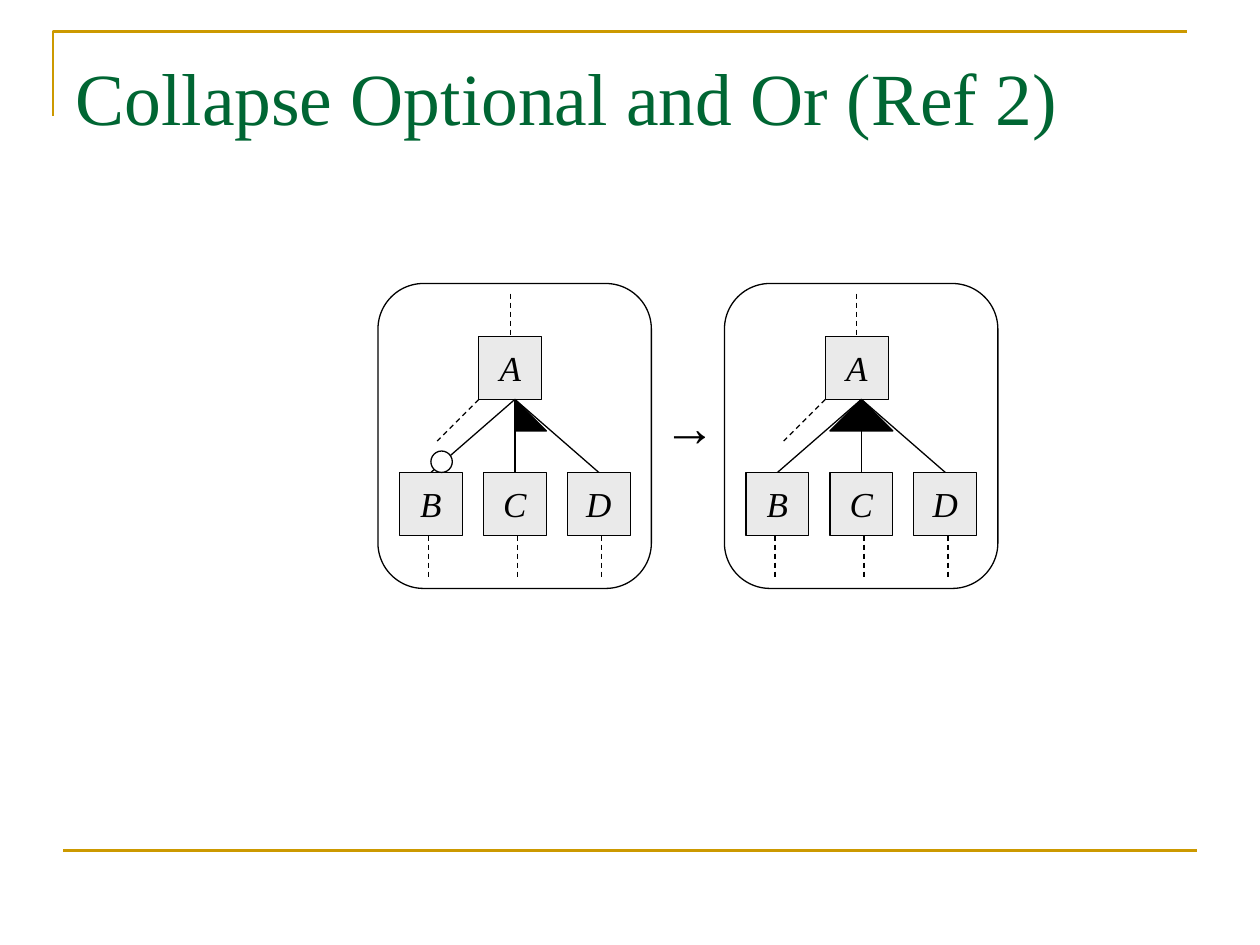
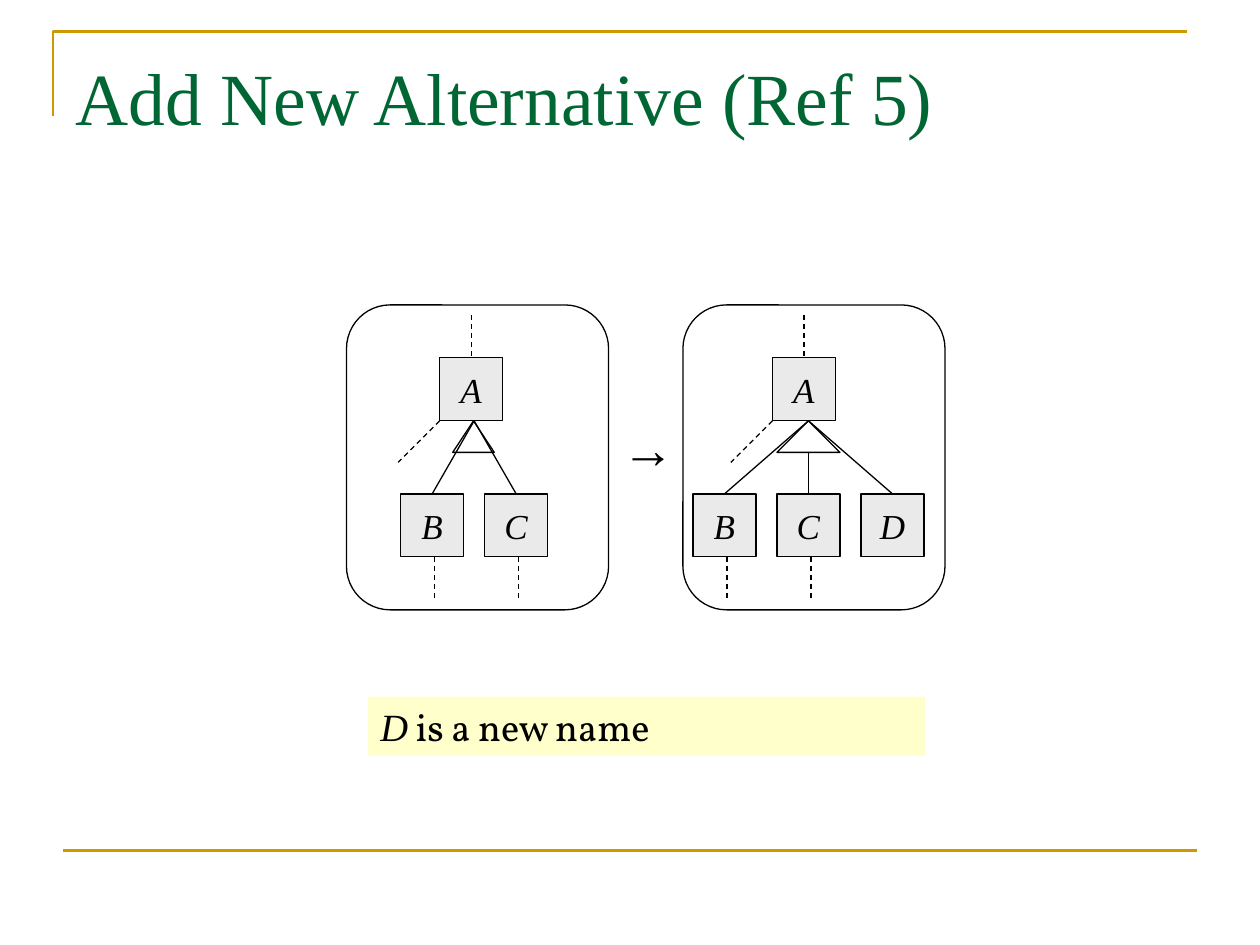
from pptx import Presentation
from pptx.dml.color import RGBColor
from pptx.enum.dml import MSO_LINE as Dash
from pptx.enum.shapes import MSO_CONNECTOR as Link, MSO_SHAPE as Kind
from pptx.enum.text import MSO_ANCHOR as Anchor, MSO_AUTO_SIZE as Fit, PP_ALIGN as Align
from pptx.oxml.ns import qn
from pptx.util import Inches, Pt
from lxml import etree

GOLD, GREEN, BLACK = "CC9900", "006633", "000000"
WHITE, GRAY, CREAM = "FFFFFF", "EAEAEA", "FFFFCC"
SERIF = "Times New Roman"
SIDE = 0.5
STEP = 2 / 3


def paint(part, color):
    part.solid()
    part.fore_color.rgb = RGBColor.from_string(color)


def edge(line, color=BLACK, width=0.75):
    paint(line.fill, color)
    line.width = Pt(width)


def write(para, text, size, color=BLACK, face=SERIF, slant=False):
    run = para.add_run()
    run.text = text
    font = run.font
    font.size, font.name, font.italic = Pt(size), face, slant
    font.color.rgb = RGBColor.from_string(color)


def add_line(slide, start, end, color=BLACK, width=0.75, dash=False):
    ends = [Inches(n) for n in (*start, *end)]
    line = slide.shapes.add_connector(Link.STRAIGHT, *ends)
    edge(line.line, color, width)
    if dash:
        line.line.dash_style = Dash.DASH
    etree.SubElement(line.element.spPr, qn("a:effectLst"))
    return line


def add_form(slide, kind, box, fill=None, lined=True):
    form = slide.shapes.add_shape(kind, *[Inches(n) for n in box])
    form.shadow.inherit = False
    if fill:
        paint(form.fill, fill)
    else:
        form.fill.background()
    if lined:
        edge(form.line)
    else:
        form.line.fill.background()
    return form


def add_node(slide, name, x, y):
    node = add_form(slide, Kind.RECTANGLE, (x, y, SIDE, SIDE), GRAY)
    frame = node.text_frame
    frame.word_wrap = False
    frame.vertical_anchor = Anchor.MIDDLE
    para = frame.paragraphs[0]
    para.alignment = Align.CENTER
    write(para, name, 20, slant=True)
    return node


def add_tree(slide, box, root, first, names, mark, tails, ring=False):
    left, top, width, height = box
    add_form(slide, Kind.ROUNDED_RECTANGLE, box)
    head = add_node(slide, "A", left + root, top + 0.42)
    mid = left + root + SIDE / 2
    stem = add_line(slide, (mid, top + 0.08), (mid, top + 0.42), dash=True)
    stem.end_connect(head, 0)
    foot = top + 0.92
    add_line(slide, (left + root, foot), (left + root - 0.33, foot + 0.33), dash=True)

    row = top + 1.5
    spots = [left + first + i * STEP for i in range(len(names))]
    nodes = [add_node(slide, name, x, row) for name, x in zip(names, spots)]
    for x, tail in zip(spots, tails):
        add_line(slide, (x + tail, row + SIDE), (x + tail, row + SIDE + 0.33), dash=True)

    apex = (spots[0] + spots[-1] + SIDE) / 2

    def join(node):
        add_line(slide, (apex, foot), (apex, row)).end_connect(node, 0)

    for node in nodes[1:-1]:
        join(node)
    kind, shift, span, fill = mark
    add_form(slide, kind, (apex + shift, foot, span, 0.25), fill)
    for node in (nodes[0], nodes[-1]):
        join(node)
    if ring:
        add_form(slide, Kind.OVAL, (left + 0.42, row - 0.17, 0.17, 0.17), WHITE)


def add_arrow(slide, x, y):
    box = slide.shapes.add_textbox(Inches(x), Inches(y), Inches(0.45), Inches(0.6))
    frame = box.text_frame
    frame.word_wrap = False
    frame.auto_size = Fit.SHAPE_TO_FIT_TEXT
    write(frame.paragraphs[0], "→", 30, face="Courier New")


def add_note(slide, box):
    note = add_form(slide, Kind.RECTANGLE, box, CREAM, lined=False)
    frame = note.text_frame
    frame.word_wrap = True
    frame.vertical_anchor = Anchor.TOP
    para = frame.paragraphs[0]
    para.alignment = Align.LEFT
    write(para, "D", 22, slant=True)
    write(para, " is a new name", 22, face="Vollkorn")


def set_frame(slide, layout):
    title = layout.placeholders[0]
    title.left, title.top = Inches(0.5), Inches(0.3)
    title.width, title.height = Inches(9), Inches(1.25)
    pen = slide.shapes.build_freeform(Inches(0.42), Inches(0.92))
    pen.add_line_segments(
        [(Inches(0.42), Inches(0.25)), (Inches(9.42), Inches(0.25))], close=False)
    band = pen.convert_to_shape()
    band.shadow.inherit = False
    band.fill.background()
    edge(band.line, GOLD, 1.5)
    rule = add_line(slide, (0.5, 6.75), (9.5, 6.75), GOLD, 1.5)
    for mark, key in ((band, "20"), (rule, "21")):
        mark.element.xpath(".//p:cNvPr")[0].set("id", key)
        layout.shapes.element.append(mark.element)


def set_title(slide, text):
    frame = slide.shapes.title.text_frame
    frame.auto_size = Fit.NONE
    frame.vertical_anchor = Anchor.TOP
    frame.margin_top = Inches(0.11)
    para = frame.paragraphs[0]
    para.alignment = Align.LEFT
    write(para, text, 42, GREEN)


def make_or(slide):
    set_title(slide, "Collapse Optional and Or (Ref 2)")
    tails = (0.23, 0.27, 0.27)
    half = (Kind.RIGHT_TRIANGLE, 0, 0.25, BLACK)
    full = (Kind.ISOSCELES_TRIANGLE, -0.25, 0.5, BLACK)
    for left, mark, ring in ((3, half, True), (5.75, full, False)):
        add_tree(slide, (left, 2.25, 2.17, 2.42), 0.8, 0.17, "BCD", mark, tails, ring)
    add_arrow(slide, 5.25, 3.08)


def make_new(slide):
    set_title(slide, "Add New Alternative (Ref 5)")
    tails = (0.27, 0.27)
    small = (Kind.ISOSCELES_TRIANGLE, -0.17, 0.33, WHITE)
    large = (Kind.ISOSCELES_TRIANGLE, -0.25, 0.5, WHITE)
    add_tree(slide, (2.75, 2.42, 2.08, 2.42), 0.74, 0.43, "BC", small, tails)
    add_tree(slide, (5.42, 2.42, 2.08, 2.42), 0.71, 0.08, "BCD", large, tails)
    add_arrow(slide, 4.92, 3.25)
    add_note(slide, (2.92, 5.53, 4.42, 0.47))


def main():
    deck = Presentation()
    deck.slide_width, deck.slide_height = Inches(10), Inches(7.5)
    layout = deck.slide_layouts[5]
    slides = [deck.slides.add_slide(layout) for _ in range(2)]
    set_frame(slides[0], layout)
    for make, slide in zip((make_or, make_new), slides):
        make(slide)
    deck.save("out.pptx")


if __name__ == "__main__":
    main()
